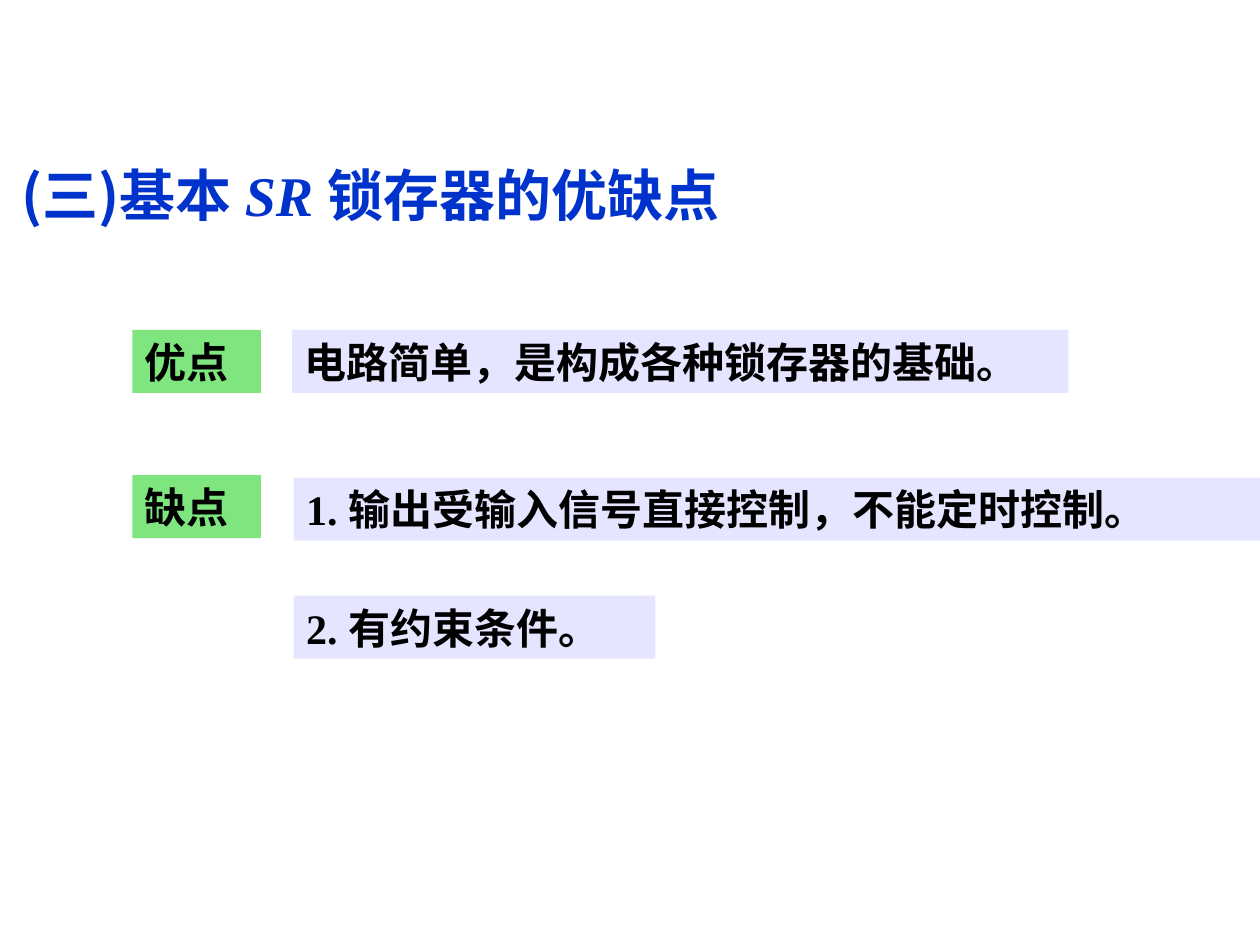
from dataclasses import dataclass

from lxml.etree import SubElement
from pptx import Presentation
from pptx.dml.color import RGBColor
from pptx.enum.shapes import MSO_SHAPE
from pptx.enum.text import MSO_ANCHOR, MSO_AUTO_SIZE, PP_ALIGN
from pptx.oxml.ns import qn
from pptx.slide import Slide
from pptx.text.text import TextFrame, _Paragraph
from pptx.util import Cm, Pt


@dataclass(frozen=True)
class Theme:
    heading: RGBColor = RGBColor(0x00, 0x33, 0xCC)
    text: RGBColor = RGBColor(0x00, 0x00, 0x00)
    label: RGBColor = RGBColor(0x00, 0xCC, 0x00)
    statement: RGBColor = RGBColor(0xCC, 0xCC, 0xFF)
    opacity: int = 50
    heading_size: int = 32
    text_size: int = 24
    latin: str = "Times New Roman"
    chinese: str = "Noto Sans CJK SC"


@dataclass(frozen=True)
class Box:
    text: str
    left: float
    top: float
    width: float
    fill: RGBColor


THEME = Theme()
BOX_HEIGHT = 1.27
LABEL_LEFT, LABEL_WIDTH = 2.67, 2.59
STATEMENT_LEFT = 5.92

BOXES = [
    Box("优点", LABEL_LEFT, 6.65, LABEL_WIDTH, THEME.label),
    Box("缺点", LABEL_LEFT, 9.58, LABEL_WIDTH, THEME.label),
    Box("电路简单，是构成各种锁存器的基础。", 5.89, 6.65, 15.65, THEME.statement),
    Box("1. 输出受输入信号直接控制，不能定时控制。", STATEMENT_LEFT, 9.63, 19.48, THEME.statement),
    Box("2. 有约束条件。", STATEMENT_LEFT, 12.01, 7.29, THEME.statement),
]


def add_run(paragraph: _Paragraph, text: str, size: int, color: RGBColor,
            latin: str, italic: bool = False) -> None:
    run = paragraph.add_run()
    run.text = text
    run.font.size = Pt(size)
    run.font.bold = True
    run.font.italic = italic
    run.font.color.rgb = color
    run.font.name = latin
    SubElement(run.font._element, qn("a:ea"), typeface=THEME.chinese)


def prepare_frame(frame: TextFrame, wrap: bool) -> _Paragraph:
    frame.word_wrap = wrap
    frame.auto_size = MSO_AUTO_SIZE.NONE
    frame.vertical_anchor = MSO_ANCHOR.MIDDLE
    paragraph = frame.paragraphs[0]
    paragraph.alignment = PP_ALIGN.LEFT
    return paragraph


def add_heading(slide: Slide) -> None:
    heading = slide.shapes.title
    heading.left, heading.top = Cm(0.18), Cm(3.12)
    heading.width, heading.height = Cm(19.71), Cm(1.6)
    paragraph = prepare_frame(heading.text_frame, wrap=True)
    for text, font, italic in (
        ("(三)基本 ", THEME.chinese, False),
        ("SR ", THEME.latin, True),
        ("锁存器的优缺点", THEME.chinese, False),
    ):
        add_run(paragraph, text, THEME.heading_size, THEME.heading, font, italic)


def add_box(slide: Slide, box: Box) -> None:
    shape = slide.shapes.add_shape(
        MSO_SHAPE.RECTANGLE, Cm(box.left), Cm(box.top), Cm(box.width), Cm(BOX_HEIGHT))
    shape.shadow.inherit = False
    shape.line.fill.background()
    shape.fill.solid()
    shape.fill.fore_color.rgb = box.fill
    # Let the background show through the fill
    color = shape._element.spPr.find(qn("a:solidFill")).find(qn("a:srgbClr"))
    SubElement(color, qn("a:alpha"), val=str(THEME.opacity * 1000))
    paragraph = prepare_frame(shape.text_frame, wrap=False)
    add_run(paragraph, box.text, THEME.text_size, THEME.text, THEME.latin)


def main() -> None:
    presentation = Presentation()
    presentation.slide_width, presentation.slide_height = Cm(25.4), Cm(19.05)
    # Title Only layout
    slide = presentation.slides.add_slide(presentation.slide_layouts[5])
    add_heading(slide)
    # Advantages and drawbacks
    for box in BOXES:
        add_box(slide, box)
    presentation.save("out.pptx")


if __name__ == "__main__":
    main()
